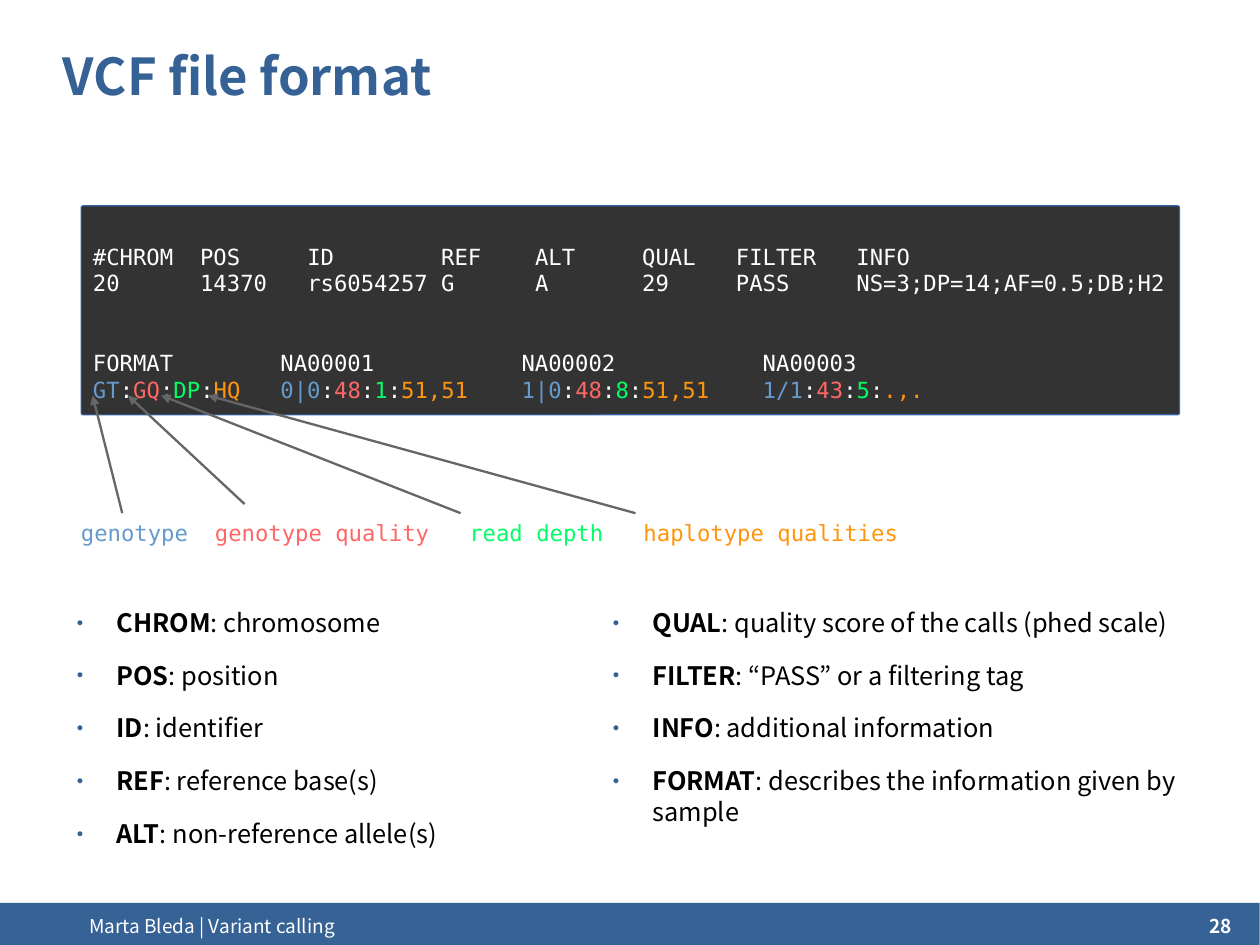
from lxml import etree
from pptx import Presentation
from pptx.dml.color import RGBColor
from pptx.enum.shapes import MSO_CONNECTOR as CONN, MSO_SHAPE as SHAPE
from pptx.enum.text import MSO_ANCHOR as ANCHOR, MSO_AUTO_SIZE as AUTO, PP_ALIGN as ALIGN
from pptx.oxml.ns import qn
from pptx.util import Cm, Inches, Pt

# Content
TITLE = "VCF file format"
FOOTER, PAGE = "Marta Bleda | Variant calling", "28"
RECORD = [
    ["#CHROM", "POS", "ID", "REF", "ALT", "QUAL", "FILTER", "INFO"],
    ["20", "14370", "rs6054257", "G", "A", "29", "PASS", "NS=3;DP=14;AF=0.5;DB;H2"],
]
SAMPLE_NAMES = ["FORMAT", "NA00001", "NA00002", "NA00003"]
SAMPLES = [
    ["GT", "GQ", "DP", "HQ"],
    ["0|0", "48", "1", "51,51"],
    ["1|0", "48", "8", "51,51"],
    ["1/1", "43", "5", ".,."],
]
LEGEND = ["genotype", "genotype quality", "read depth", "haplotype qualities"]
FIELD_COLORS = ["6699CC", "FF6666", "00FF66", "FF950E"]
ARROWS = [((1.07, 4.49), 0.81), ((2.14, 4.41), 1.12),
          ((4.03, 4.49), 1.41), ((5.56, 4.49), 1.82)]
ARROW_TIP_Y = 3.46
DEFINITIONS = [
    (0.55, 4.69, [
        ("CHROM", "chromosome"), ("POS", "position"), ("ID", "identifier"),
        ("REF", "reference base(s)"), ("ALT", "non-reference allele(s)")]),
    (5.24, 5.12, [
        ("QUAL", "quality score of the calls (phed scale)"),
        ("FILTER", "“PASS” or a filtering tag"),
        ("INFO", "additional information"),
        ("FORMAT", "describes the information given by sample")]),
]

# Tab stops, counted in monospaced characters
RECORD_STOPS = [8, 16, 26, 33, 41, 48, 57]
SAMPLE_STOPS = [14, 32, 50]
LEGEND_STOPS = [10, 29, 42]
CHAR = 6.68 / 57  # width of one 14 pt character
SANS, MONO = "Noto Sans CJK KR", "DejaVu Sans Mono"
BLUE, WHITE = "356195", "FFFFFF"


def rgb(color):
    return RGBColor.from_string(color)


def add_text(p, text, size=14, font=MONO, color=WHITE, bold=False):
    r = p.add_run()
    r.text = text
    r.font.size, r.font.name, r.font.bold = Pt(size), font, bold
    r.font.color.rgb = rgb(color)


def add_xml(parent, tag, **attrs):
    return etree.SubElement(parent, qn(tag), attrs)


def set_tabs(p, stops):
    tabs = add_xml(p._p.get_or_add_pPr(), "a:tabLst")
    for stop in stops:
        add_xml(tabs, "a:tab", pos=str(Inches(stop * CHAR)), algn="l")


def set_frame(tf, left=0, top=0, right=0, bottom=0, anchor=ANCHOR.TOP):
    tf.word_wrap, tf.auto_size, tf.vertical_anchor = True, AUTO.NONE, anchor
    tf.margin_left, tf.margin_top = Inches(left), Inches(top)
    tf.margin_right, tf.margin_bottom = Inches(right), Inches(bottom)
    return tf


def place(sp, *box):
    sp.left, sp.top, sp.width, sp.height = map(Inches, box)


def add_box(kind, fill, *box):
    sp = s.shapes.add_shape(kind, *map(Inches, box))
    sp.shadow.inherit = False
    sp.fill.solid()
    sp.fill.fore_color.rgb = rgb(fill)
    sp.line.fill.background()
    return sp


def add_label(*box, **margins):
    return set_frame(s.shapes.add_textbox(*map(Inches, box)).text_frame, **margins)


def next_paragraph(tf, first):
    return tf.paragraphs[0] if first else tf.add_paragraph()


prs = Presentation()
prs.slide_width, prs.slide_height = Cm(28), Cm(21)
s = prs.slides.add_slide(prs.slide_layouts[3])
title, *bodies = s.placeholders

# Footer bar
add_box(SHAPE.RECTANGLE, "366296", 0, 7.9, 11.02, 0.4)
add_text(add_label(0.78, 8, 8.93, 0.27).paragraphs[0], FOOTER, size=12, font=SANS)
p = add_label(9.87, 8, 0.91, 0.27).paragraphs[0]
p.alignment = ALIGN.RIGHT
add_text(p, PAGE, size=12, font=SANS, bold=True)

# Title
place(title, 0.55, 0.33, 9.92, 0.65)
p = set_frame(title.text_frame, anchor=ANCHOR.MIDDLE).paragraphs[0]
p.alignment = ALIGN.LEFT
add_text(p, TITLE, size=32, font=SANS, color=BLUE, bold=True)

# Terminal panel
panel = add_box(SHAPE.ROUNDED_RECTANGLE, "333333", 0.71, 1.8, 9.61, 1.83)
panel.adjustments[0] = 0.01
panel.line.color.rgb = rgb("3465AF")
panel.line.width = Pt(0)
tf = set_frame(panel.text_frame, left=0.1, top=0.32)
rows = [(row, RECORD_STOPS) for row in RECORD]
rows += [(SAMPLE_NAMES, SAMPLE_STOPS), (SAMPLES, SAMPLE_STOPS)]
for i, (row, stops) in enumerate(rows):
    p = next_paragraph(tf, i == 0)
    p.alignment = ALIGN.LEFT
    if row is SAMPLE_NAMES:
        p.space_before = Pt(33.6)
    set_tabs(p, stops)
    if row is not SAMPLES:
        add_text(p, "\t".join(row))
        continue
    for n, fields in enumerate(row):
        for k, (field, color) in enumerate(zip(fields, FIELD_COLORS)):
            if n or k:
                add_text(p, ":" if k else "\t")
            add_text(p, field, color=color)

# Legend and its arrows
p = add_label(0.61, 4.49, 9.27, 0.54, left=0.1, top=0.05).paragraphs[0]
set_tabs(p, LEGEND_STOPS)
for i, (name, color) in enumerate(zip(LEGEND, FIELD_COLORS)):
    add_text(p, "\t" + name if i else name, color=color)
for (x, y), tip_x in ARROWS:
    arrow = s.shapes.add_connector(
        CONN.STRAIGHT, *map(Inches, (x, y, tip_x, ARROW_TIP_Y)))
    arrow.line.color.rgb = rgb("666666")
    arrow.line.width = Pt(1.45)
    add_xml(arrow.line._get_or_add_ln(), "a:tailEnd", type="triangle")
    add_xml(arrow._element.spPr, "a:effectLst")

# Column definitions
for body, (left, width, terms) in zip(bodies, DEFINITIONS):
    place(body, left, 5.31, width, 2.28)
    tf = set_frame(body.text_frame)
    for i, (term, meaning) in enumerate(terms):
        p = next_paragraph(tf, i == 0)
        p.line_spacing, p.space_before, p.space_after = 1.0, Pt(0), Pt(14.1)
        pPr = p._p.get_or_add_pPr()
        pPr.set("marL", str(Inches(0.47)))
        pPr.set("indent", str(Inches(-0.35)))
        add_xml(add_xml(pPr, "a:buClr"), "a:srgbClr", val=BLUE)
        add_xml(pPr, "a:buSzPct", val="45000")
        add_xml(pPr, "a:buChar", char="●")
        add_text(p, term, size=16, font=SANS, color="000000", bold=True)
        add_text(p, ": " + meaning, size=16, font=SANS, color="000000")

prs.save("out.pptx")
